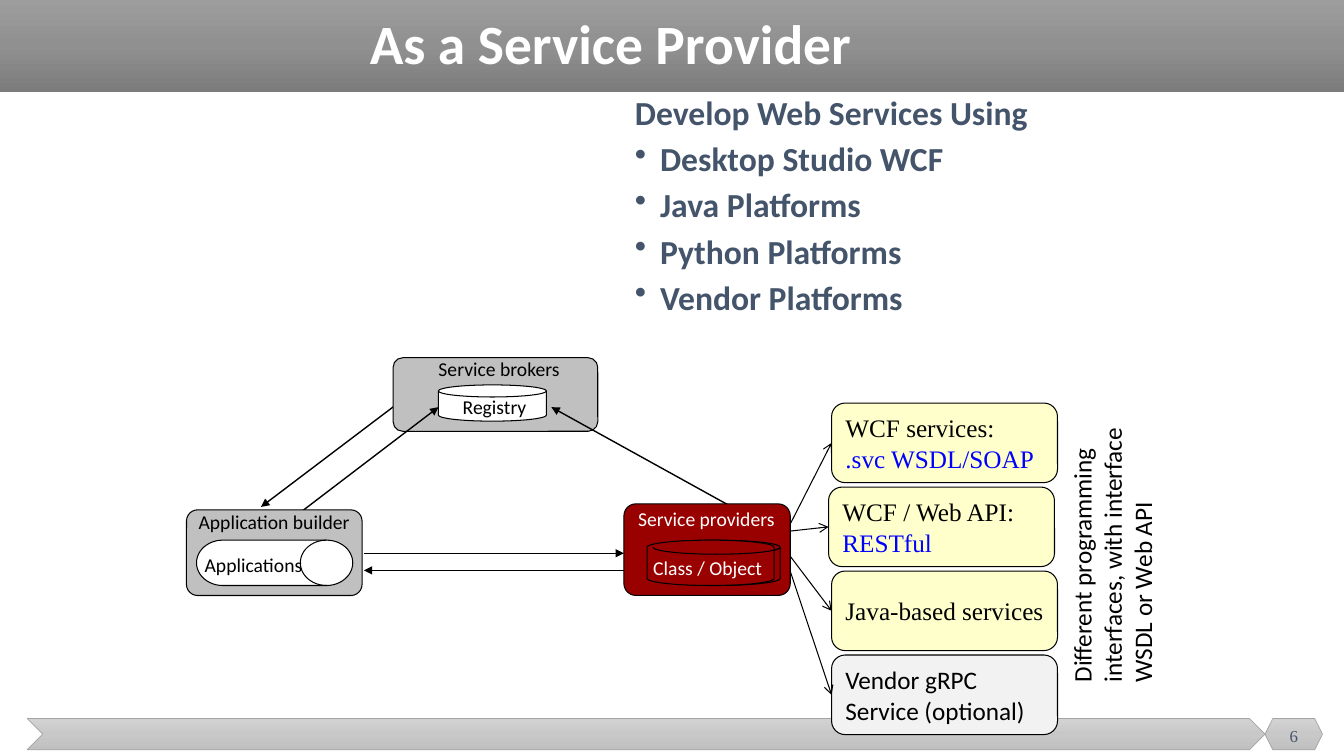
from dataclasses import dataclass
from math import cos, radians, sin

from lxml.etree import SubElement
from pptx import Presentation
from pptx.dml.color import RGBColor
from pptx.enum.shapes import MSO_CONNECTOR, MSO_SHAPE
from pptx.enum.text import MSO_ANCHOR, MSO_AUTO_SIZE, PP_ALIGN
from pptx.oxml.ns import qn
from pptx.util import Inches, Pt

COLUMNS, WIDTH, HEIGHT = 160, 13.33, 7.5
SANS, SERIF = "Calibri", "Times New Roman"
BLACK, WHITE, SLATE, BLUE = "000000", "FFFFFF", "44546A", "0000FF"
GREY, RED, CREAM, PALE = "C0C0C0", "990000", "FFFFCC", "F2F2F2"


@dataclass
class Box:
    """A rectangle measured in grid units, 160 to the slide's width."""
    left: float
    top: float
    width: float
    height: float

    def inner(self, left, top, width, height):
        """Return a box placed relative to this one."""
        return Box(self.left + left, self.top + top, width, height)

    def lengths(self):
        """Return left, top, width and height as slide lengths."""
        return [grid(n) for n in (self.left, self.top, self.width, self.height)]


def grid(units):
    """Turn grid units into a slide length."""
    return Inches(units * WIDTH / COLUMNS)


def color(hex_string):
    """Turn a hex string into a colour."""
    return RGBColor.from_string(hex_string)


def paint(shape, fill, line, width=0.75):
    """Set the fill and line of a shape and drop its shadow."""
    shape.shadow.inherit = False
    if fill:
        shape.fill.solid()
        shape.fill.fore_color.rgb = color(fill)
    else:
        shape.fill.background()
    if line:
        shape.line.color.rgb = color(line)
        shape.line.width = Pt(width)
    else:
        shape.line.fill.background()


def add_run(paragraph, text, size, hex_string, font=SANS, bold=False):
    """Add one formatted run."""
    run = paragraph.add_run()
    run.text = text
    run.font.size, run.font.name, run.font.bold = Pt(size), font, bold
    run.font.color.rgb = color(hex_string)


def add_frame(slide, box, anchor=MSO_ANCHOR.TOP):
    """Add a wrapping text box and return it."""
    shape = slide.shapes.add_textbox(*box.lengths())
    shape.text_frame.word_wrap = True
    shape.text_frame.vertical_anchor = anchor
    return shape


def add_label(slide, box, text, hex_string=BLACK):
    """Add a small one-line label without margins."""
    frame = add_frame(slide, box).text_frame
    frame.margin_left = frame.margin_right = frame.margin_top = frame.margin_bottom = 0
    frame.word_wrap = False
    frame.auto_size = MSO_AUTO_SIZE.SHAPE_TO_FIT_TEXT
    add_run(frame.paragraphs[0], text, 14, hex_string)


def add_arrow(slide, start, end, head="triangle", width=1, target=None):
    """Add an arrow, joined to the left side of a target when one is given."""
    connector = slide.shapes.add_connector(
        MSO_CONNECTOR.STRAIGHT, *[grid(n) for n in (*start, *end)])
    if target is not None:
        connector.end_connect(target, 1)
    connector.line.color.rgb = color(BLACK)
    connector.line.width = Pt(width)
    properties = connector._element.spPr
    SubElement(properties.find(qn("a:ln")), qn("a:tailEnd"), type=head)
    SubElement(properties, qn("a:effectLst"))


def half_ellipse(center, radii, start, sweep=180):
    """Return points along half an ellipse, beginning at an angle."""
    angles = [radians(start + sweep * step / 24) for step in range(25)]
    return [(center[0] + radii[0] * cos(a), center[1] + radii[1] * sin(a)) for a in angles]


def add_outline(slide, points, fill, close):
    """Add a freeform through grid points."""
    places = [(grid(x), grid(y)) for x, y in points]
    builder = slide.shapes.build_freeform(*places[0])
    builder.add_line_segments(places[1:], close=close)
    paint(builder.convert_to_shape(), fill, BLACK)


def add_cylinder(slide, box, cap, fill, lying=False, lid_shift=0):
    """Add a cylinder, upright or lying, with the rim of its lid."""
    middle_x, middle_y = box.left + box.width / 2, box.top + box.height / 2
    right, bottom = box.left + box.width - cap, box.top + box.height - cap
    if lying:
        radii, start = (cap, box.height / 2), 270
        lid, base = (right, middle_y), (box.left + cap, middle_y)
    else:
        radii, start = (box.width / 2, cap), 180
        lid, base = (middle_x, box.top + cap), (middle_x, bottom)
    body = half_ellipse(lid, radii, start) + half_ellipse(base, radii, start + 180)
    add_outline(slide, body, fill, True)
    rim = half_ellipse((lid[0] + lid_shift, lid[1]), radii, start, -180)
    add_outline(slide, rim, None, False)


def add_panel(slide, box, fill, rounding=0.13):
    """Add a rounded box with a thin black line."""
    panel = slide.shapes.add_shape(MSO_SHAPE.ROUNDED_RECTANGLE, *box.lengths())
    panel.adjustments[0] = rounding
    paint(panel, fill, BLACK)
    return panel


def add_band(slide, preset, box, stops, line=None):
    """Add a shape with a gradient running from top to bottom."""
    shape = slide.shapes.add_shape(preset, *box.lengths())
    paint(shape, None, line, 0.5)
    shape.fill.gradient()
    shape.fill.gradient_angle = 270
    stop_list = shape._element.spPr.find(".//" + qn("a:gsLst"))
    stop_list.clear()
    for position, stop in zip((0, 50000, 100000), stops):
        element = SubElement(stop_list, qn("a:gs"), pos=str(position))
        SubElement(element, qn("a:srgbClr"), val=stop)


def add_header(slide, box):
    """Add the title bar."""
    add_band(slide, MSO_SHAPE.RECTANGLE, box, ("9D9D9D", "909090", "7C7C7C"))
    title = add_frame(slide, box.inner(42.84, 2.04, 94.8, 6.96), MSO_ANCHOR.MIDDLE)
    paragraph = title.text_frame.paragraphs[0]
    paragraph.line_spacing = 0.9
    add_run(paragraph, "As a Service Provider", 39.6, WHITE, bold=True)


def add_footer(slide, box):
    """Add the footer ribbon and the slide number."""
    number_width = 6.84
    ribbon_width = box.width - number_width
    for preset, left, width in ((MSO_SHAPE.CHEVRON, 0, ribbon_width),
                                (MSO_SHAPE.HEXAGON, ribbon_width, number_width)):
        add_band(slide, preset, box.inner(left, 0, width, box.height),
                 ("D2D2D2", "C8C8C8", "C0C0C0"), "A5A5A5")
    number = add_frame(slide, box.inner(ribbon_width, -0.36, number_width, 4.8), MSO_ANCHOR.MIDDLE)
    paragraph = number.text_frame.paragraphs[0]
    paragraph.alignment = PP_ALIGN.CENTER
    add_run(paragraph, "6", 12, SLATE, SERIF)


def add_platform_list(slide, box):
    """Add the heading and its bulleted platforms."""
    frame = add_frame(slide, box).text_frame
    lines = ("Develop Web Services Using", "Desktop Studio WCF", "Java Platforms",
             "Python Platforms", "Vendor Platforms")
    for index, text in enumerate(lines):
        paragraph = frame.add_paragraph() if index else frame.paragraphs[0]
        properties = paragraph._p.get_or_add_pPr()
        properties.set("marL", str(Inches(0.25)))
        properties.set("indent", str(-Inches(0.25)))
        if index:
            SubElement(properties, qn("a:buChar"), char="•")
            paragraph.space_before = Pt(10)
        paragraph.line_spacing = 0.8
        add_run(paragraph, text, 24, SLATE, bold=True)


def add_broker(slide, box):
    """Add the service broker and its registry."""
    add_panel(slide, box, GREY)
    add_cylinder(slide, box.inner(5.4, 3.24, 12.84, 4.32), 0.72, WHITE)
    add_label(slide, box.inner(8.28, 4.44, 7.68, 2.88), "Registry")
    add_label(slide, box.inner(5.4, -0.12, 14.52, 2.88), "Service brokers")


def add_provider(slide, box):
    """Add the service provider and its class store."""
    add_panel(slide, box, RED)
    add_label(slide, box.inner(1.68, 0.36, 16.44, 2.88), "Service providers", WHITE)
    shift = 0.72
    for left, lid_shift in ((2.76 + shift, 0), (2.76, shift)):
        add_cylinder(slide, box.inner(left, 4.32, 15.12, 5.4), 0.84, RED, lid_shift=lid_shift)
    add_label(slide, box.inner(3.48, 6.24, 13.2, 2.88), "Class / Object", WHITE)


def add_builder(slide, box):
    """Add the application builder and its applications."""
    add_panel(slide, box, GREY)
    add_label(slide, box.inner(1.44, 0, 18.24, 2.88), "Application builder")
    add_cylinder(slide, box.inner(1.2, 3.6, 18.6, 5.4), 3.12, WHITE, lying=True)
    add_label(slide, box.inner(2.16, 5.16, 11.76, 2.88), "Applications")


def add_interfaces(slide, box, provider_right):
    """Add the stacked interface cards, their arrows and the upright caption."""
    cards = ((0, 62.4, CREAM, SERIF, "WCF services:", ".svc WSDL/SOAP"),
             (-0.36, 63.24, CREAM, SERIF, "WCF / Web API:", "RESTful"),
             (0, 66.24, CREAM, SERIF, "Java-based services", None),
             (0, 68.04, PALE, SANS, "Vendor gRPC Service (optional)", None))
    for row, (left, start, fill, font, text, detail) in enumerate(cards):
        card = add_panel(slide, box.inner(left, row * 10, box.width, 9.48), fill, 0.17)
        card.text_frame.vertical_anchor = MSO_ANCHOR.MIDDLE
        paragraph = card.text_frame.paragraphs[0]
        paragraph.alignment = PP_ALIGN.LEFT
        add_run(paragraph, text, 18, BLACK, font)
        if detail:
            paragraph.add_line_break()
            add_run(paragraph, detail, 18, BLUE, font)
        add_arrow(slide, (provider_right, start), (box.left, start), "arrow", 0.75, card)
    caption = add_frame(slide, box.inner(16.44, 11.4, 33.96, 12.12))
    caption.rotation = 270
    add_run(caption.text_frame.paragraphs[0],
            "Different programming interfaces, with interface WSDL or Web API", 18, BLACK)


def add_architecture(slide, broker, provider, builder):
    """Add broker, provider and builder with the arrows between them."""
    add_arrow(slide, (48.36, 47.28), (31.08, 60.36))
    add_broker(slide, broker)
    add_arrow(slide, (33.48, 62.76), (52.2, 48.48))
    add_arrow(slide, (87.12, 60.36), (65.64, 48.48))
    add_provider(slide, provider)
    add_builder(slide, builder)
    add_arrow(slide, (43.32, 65.88), (provider.left, 65.88))
    add_arrow(slide, (provider.left, 67.92), (43.32, 67.92))


def main():
    """Build the slide and save it."""
    presentation = Presentation()
    presentation.slide_width, presentation.slide_height = Inches(WIDTH), Inches(HEIGHT)
    slide = presentation.slides.add_slide(presentation.slide_layouts[6])
    provider = Box(74.28, 60, 19.8, 10.9)
    add_header(slide, Box(0, 0, COLUMNS, 10.92))
    add_footer(slide, Box(3.24, 85.56, 154.2, 3.72))
    add_platform_list(slide, Box(74.4, 11.28, 52.56, 29.28))
    add_architecture(slide, Box(46.8, 42.6, 24.36, 8.76), provider, Box(22.2, 60.72, 20.9, 10.2))
    add_interfaces(slide, Box(99, 48, 26.9, 39.48), provider.left + provider.width)
    presentation.save("out.pptx")


if __name__ == "__main__":
    main()
